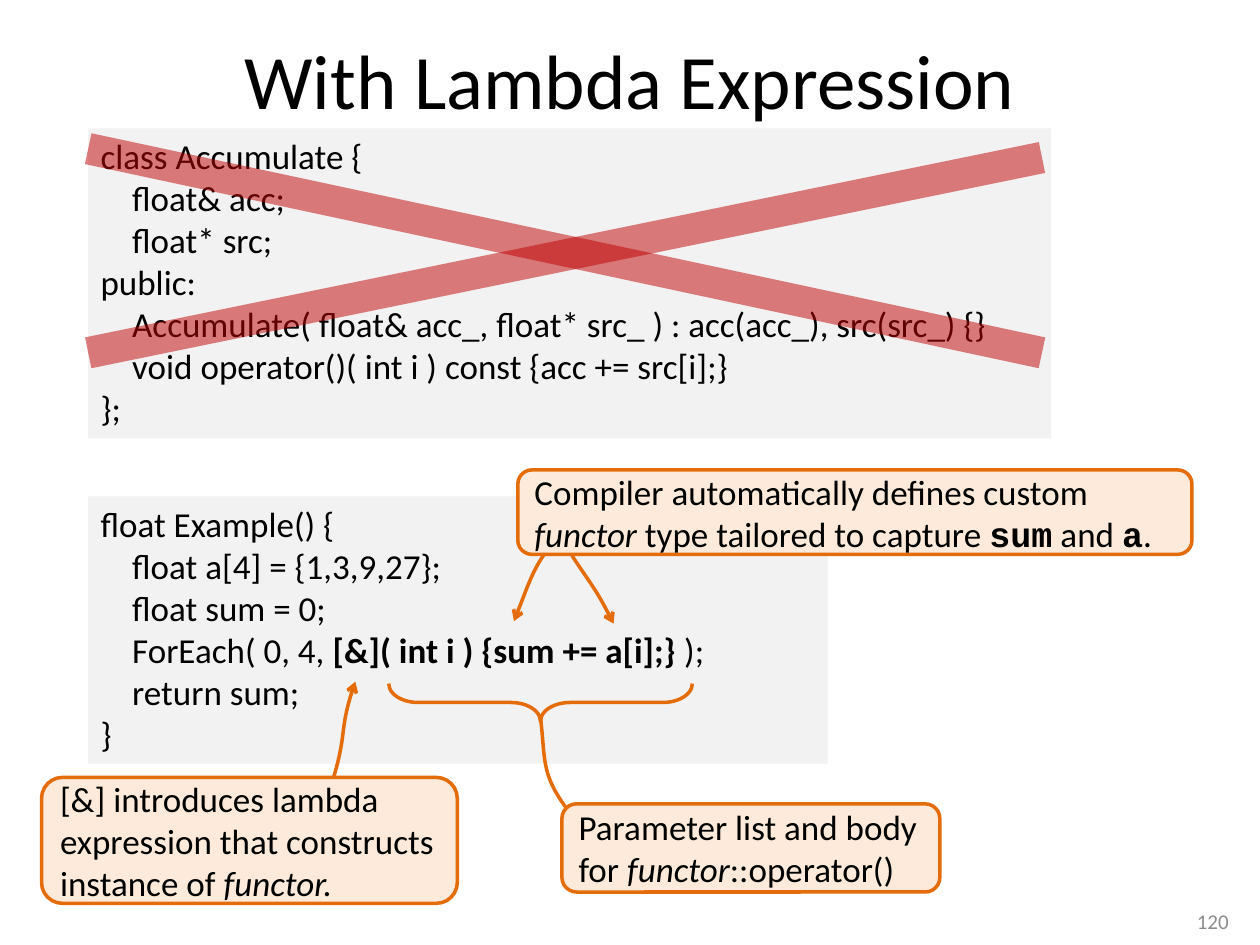
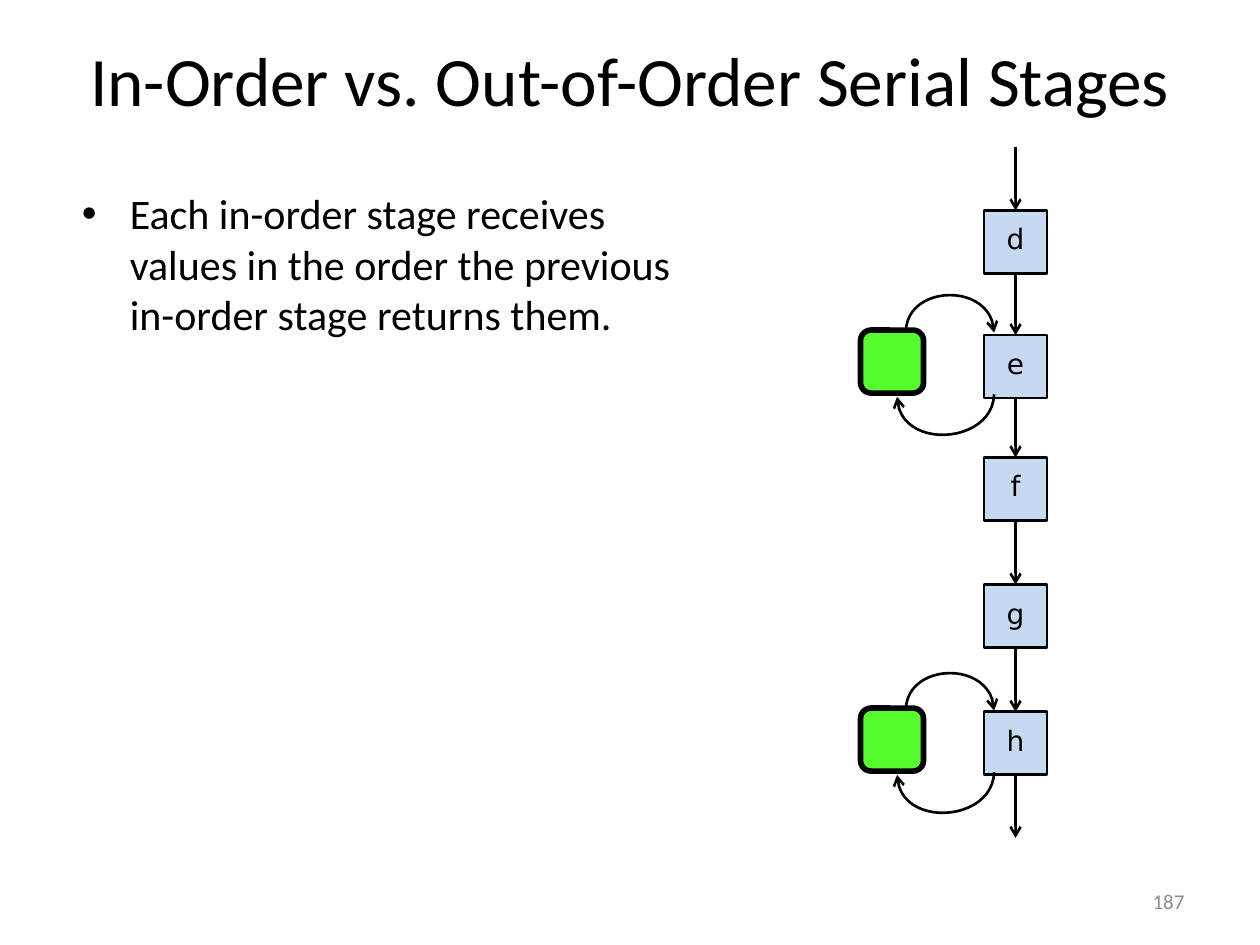
from lxml.etree import SubElement
from pptx import Presentation
from pptx.dml.color import RGBColor
from pptx.enum.shapes import MSO_CONNECTOR, MSO_SHAPE
from pptx.enum.text import MSO_ANCHOR, MSO_AUTO_SIZE, PP_ALIGN
from pptx.oxml.ns import qn
from pptx.util import Pt

PX = 9144  # 100 px to the inch
CURVE_STEPS = 24

BLACK = RGBColor(0x00, 0x00, 0x00)
NUMBER_GRAY = RGBColor(0x8C, 0x8C, 0x8C)
CODE_GRAY = RGBColor(0xF2, 0xF2, 0xF2)
ORANGE = RGBColor(0xE4, 0x6C, 0x0A)
PEACH = RGBColor(0xFD, 0xEA, 0xDA)
CROSS_RED = RGBColor(0xC0, 0x00, 0x00)
STAGE_BLUE = RGBColor(0xC6, 0xD9, 0xF1)
TOKEN_GREEN = RGBColor(0x54, 0xFF, 0x2D)

TITLE_ONLY, TITLE_AND_CONTENT = 5, 1


def emu(*lengths):
    return [length * PX for length in lengths]


class Deck:
    font = "Calibri"
    mono = "Courier New"
    stage_font = "DejaVu Sans"

    def __init__(self):
        self.presentation = Presentation()
        self.presentation.slide_width, self.presentation.slide_height = emu(1000, 750)
        self.slide = None

    def start(self, layout, title, size, number, number_box):
        """Open a slide with its title and page number."""
        layouts = self.presentation.slide_layouts
        self.slide = self.presentation.slides.add_slide(layouts[layout])
        heading = self.slide.shapes.title
        self.place(heading, 50, 0, 900, 125)
        self.fill_text(heading, [title], size, align=PP_ALIGN.CENTER,
                       anchor=MSO_ANCHOR.MIDDLE)
        box = self.slide.shapes.add_textbox(*emu(*number_box))
        self.fill_text(box, [number], 12, NUMBER_GRAY, PP_ALIGN.RIGHT, MSO_ANCHOR.MIDDLE)

    def place(self, shape, *box):
        shape.left, shape.top, shape.width, shape.height = emu(*box)

    def fill_text(self, shape, lines, size, color=BLACK, align=PP_ALIGN.LEFT,
                  anchor=MSO_ANCHOR.TOP, font=None):
        """Each line is a string or a list of (text, style) runs."""
        frame = shape.text_frame
        frame.auto_size = MSO_AUTO_SIZE.NONE
        frame.word_wrap = True
        frame.vertical_anchor = anchor
        for index, line in enumerate(lines):
            paragraph = frame.add_paragraph() if index else frame.paragraphs[0]
            paragraph.alignment = align
            paragraph.font.name = font or self.font
            paragraph.font.size = Pt(size)
            paragraph.font.color.rgb = color
            for text, style in [(line, "")] if isinstance(line, str) else line:
                run = paragraph.add_run()
                run.text = text
                if style in ("bold", "mono"):
                    run.font.bold = True
                if style == "italic":
                    run.font.italic = True
                if style == "mono":
                    run.font.name = self.mono

    def bullet(self, text, size, *box):
        body = self.slide.placeholders[1]
        self.place(body, *box)
        paragraph = body.text_frame.paragraphs[0]
        properties = paragraph._p.get_or_add_pPr()
        indent = 38 * PX
        properties.set("marL", str(indent))
        properties.set("indent", str(-indent))
        SubElement(properties, qn("a:buChar")).set("char", "•")
        paragraph.space_before = Pt(0)
        self.fill_text(body, [text], size)

    def shape(self, kind, box, fill=None, line=None, width=2):
        shape = self.slide.shapes.add_shape(kind, *emu(*box))
        shape.shadow.inherit = False
        if fill is None:
            shape.fill.background()
        else:
            shape.fill.solid()
            shape.fill.fore_color.rgb = fill
        if line is None:
            shape.line.fill.background()
        else:
            self.stroke(shape, line, width)
        return shape

    def code(self, box, lines):
        self.fill_text(self.shape(MSO_SHAPE.RECTANGLE, box, CODE_GRAY), lines, 20)

    def callout(self, box, runs):
        shape = self.shape(MSO_SHAPE.ROUNDED_RECTANGLE, box, PEACH, ORANGE)
        self.fill_text(shape, [runs], 20, anchor=MSO_ANCHOR.MIDDLE)

    def stage(self, letter, left, top, side):
        shape = self.shape(MSO_SHAPE.RECTANGLE, (left, top, side, side),
                           STAGE_BLUE, BLACK, 1.6)
        self.fill_text(shape, [letter], 16, align=PP_ALIGN.CENTER,
                       anchor=MSO_ANCHOR.MIDDLE, font=self.stage_font)
        shape.text_frame.word_wrap = False
        shape.text_frame.paragraphs[0].line_spacing = 0.8
        return shape

    def stroke(self, shape, color, width, arrow=False, opacity=None):
        shape.line.color.rgb = color
        shape.line.width = Pt(width)
        outline = shape._element.spPr.find(qn("a:ln"))
        if opacity is not None:
            alpha = SubElement(outline.find(".//" + qn("a:srgbClr")), qn("a:alpha"))
            alpha.set("val", str(opacity * 1000))
        if arrow:
            SubElement(outline, qn("a:tailEnd")).set("type", "arrow")

    def line(self, start, end, color, width, **options):
        connector = self.slide.shapes.add_connector(
            MSO_CONNECTOR.STRAIGHT, *emu(*start, *end))
        self.stroke(connector, color, width, **options)
        SubElement(connector._element.spPr, qn("a:effectLst"))
        return connector

    def curve(self, points, color, width, arrow=True):
        """Trace a cubic curve through start, two controls and end."""
        def at(t):
            weights = ((1 - t) ** 3, 3 * t * (1 - t) ** 2, 3 * t * t * (1 - t), t ** 3)
            return tuple(round(PX * sum(weight * value for weight, value in zip(weights, axis)))
                         for axis in zip(*points))

        trace = [at(step / CURVE_STEPS) for step in range(CURVE_STEPS + 1)]
        builder = self.slide.shapes.build_freeform(*trace[0], scale=1.0)
        builder.add_line_segments(trace[1:], close=False)
        shape = builder.convert_to_shape()
        shape.shadow.inherit = False
        shape.fill.background()
        self.stroke(shape, color, width, arrow)


def lambda_slide(deck):
    deck.start(TITLE_ONLY, "With Lambda Expression", 44, "120", (930, 717, 55, 28))

    # Code that uses the lambda
    deck.code((70, 394, 587, 212), [
        "float Example() {",
        "    float a[4] = {1,3,9,27};",
        "    float sum = 0;",
        [("    ForEach( 0, 4, ", ""), ("[&]( int i ) {sum += a[i];}", "bold"), (" );", "")],
        "    return sum;",
        "}",
    ])

    # Pointers from the callouts into the code
    deck.curve([(260, 632), (278, 579), (267, 584), (282, 541)], ORANGE, 2)
    deck.curve([(450, 642), (429, 614), (433, 602), (429, 570)], ORANGE, 2, arrow=False)
    deck.curve([(432, 440), (422, 454), (418, 468), (408, 493)], ORANGE, 2)
    deck.curve([(454, 441), (469, 464), (473, 467), (487, 495)], ORANGE, 2)
    brace = deck.shape(MSO_SHAPE.LEFT_BRACE, (414, 437, 30, 241), line=ORANGE)
    brace.rotation = 270
    brace.adjustments[0] = 0.78

    # Functor class, crossed out
    deck.code((70, 102, 764, 246), [
        "class Accumulate {",
        "    float& acc;",
        "    float* src;",
        "public:",
        "    Accumulate( float& acc_, float* src_ ) : acc(acc_), src(src_) {}",
        "    void operator()( int i ) const {acc += src[i];}",
        "};",
    ])
    for start, end in (((70, 118), (827, 280)), ((70, 280), (827, 125))):
        deck.line(start, end, CROSS_RED, 18, opacity=50)

    # Callouts
    deck.callout((33, 617, 330, 100), [
        ("[&] introduces lambda expression that constructs instance of ", ""),
        ("functor.", "italic")])
    deck.callout((446, 638, 300, 70), [
        ("Parameter list and body for ", ""), ("functor", "italic"), ("::operator()", "")])
    deck.callout((411, 373, 535, 67), [
        ("Compiler automatically defines custom ", ""), ("functor ", "italic"),
        ("type tailored to capture ", ""), ("sum", "mono"), (" and ", ""),
        ("a", "mono"), (".", "")])


def stages_slide(deck):
    deck.start(TITLE_AND_CONTENT, "In-Order vs. Out-of-Order Serial Stages", 39.6,
               "187", (717, 695, 233, 40))
    deck.bullet("Each in-order stage receives values in the order the previous "
                "in-order stage returns them.", 24, 55, 144, 497, 218)

    # Column of stages
    side, left, middle = 50, 781, 806
    tops = {"d": 167, "e": 266, "f": 363, "g": 464, "h": 565}
    stages = [deck.stage(letter, left, top, side) for letter, top in tops.items()]

    # Arrows into, between and out of the stages
    first, last = tops["d"], tops["h"] + side
    ends = [first, *list(tops.values())[1:], last + 50]
    starts = [first - 50, *(top + side for top in tops.values())]
    for index, (start, end) in enumerate(zip(starts, ends)):
        arrow = deck.line((middle, start), (middle, end), BLACK, 1.5, arrow=True)
        if index > 0:
            arrow.begin_connect(stages[index - 1], 2)
        if index < len(stages):
            arrow.end_connect(stages[index], 0)

    # Tokens that travel around the serial stages
    for y in (264, 564):
        deck.shape(MSO_SHAPE.ROUNDED_RECTANGLE, (683, y - 2, side, side),
                   TOKEN_GREEN, BLACK, 3.2)
        deck.curve([(719, y - 1), (720, y - 39), (788, y - 40), (789, y)], BLACK, 1.5)
        deck.curve([(789, y + 49), (788, y + 89), (713, y + 94), (712, y + 51)], BLACK, 1.5)


def main():
    deck = Deck()
    lambda_slide(deck)
    stages_slide(deck)
    deck.presentation.save("out.pptx")


if __name__ == "__main__":
    main()
